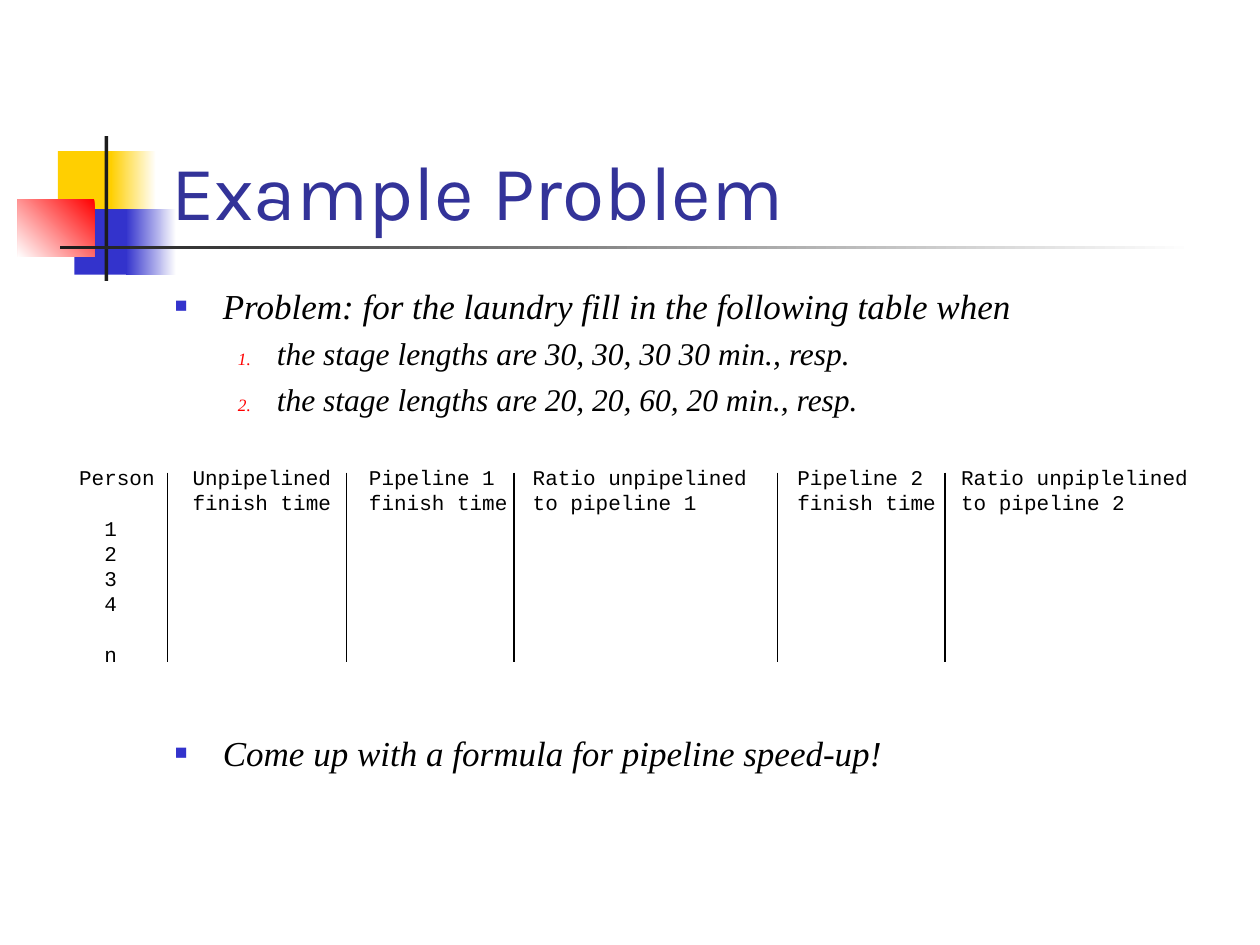
from lxml.etree import SubElement
from pptx import Presentation
from pptx.dml.color import RGBColor
from pptx.enum.shapes import MSO_CONNECTOR, MSO_SHAPE
from pptx.enum.text import MSO_ANCHOR
from pptx.oxml.ns import qn
from pptx.util import Inches, Pt


def color(value):
    return RGBColor.from_string(value)


def write(paragraph, text, font_format, hue):
    run = paragraph.add_run()
    run.text = text
    for name, value in font_format.items():
        setattr(run.font, name, value)
    run.font.color.rgb = color(hue)


deck = Presentation()
deck.slide_width, deck.slide_height = Inches(10), Inches(7.5)
slide = deck.slides.add_slide(deck.slide_layouts[6])

ornaments = [
    ((0.46, 1.2, 0.48, 0.52), ["FFCF01"], 0),
    ((0.88, 1.2, 0.36, 0.52), ["FFFFFF", "FFCF01"], 180),
    ((0.59, 1.66, 0.46, 0.52), ["3333CC"], 0),
    ((1, 1.66, 0.4, 0.52), ["FFFFFF", "3333CC"], 180),
    ((0.14, 1.58, 0.61, 0.46), ["FF0000", "FFFFFF"], 225),
    ((0.83, 1.08, 0.03, 1.15), ["1C1C1C"], 0),
    ((0.48, 1.95, 9, 0.03), ["FFFFFF", "1C1C1C"], 180),
]
for place, hues, angle in ornaments:
    ornament = slide.shapes.add_shape(MSO_SHAPE.RECTANGLE, *map(Inches, place))
    ornament.shadow.inherit = False
    ornament.line.fill.background()
    if len(hues) == 1:
        ornament.fill.solid()
        ornament.fill.fore_color.rgb = color(hues[0])
    else:
        ornament.fill.gradient()
        ornament.fill.gradient_angle = angle
        for stop, hue in zip(ornament.fill.gradient_stops, hues):
            stop.color.rgb = color(hue)

title = slide.shapes.add_textbox(Inches(1.26), Inches(0.67), Inches(8.52), Inches(1.25)).text_frame
title.word_wrap = True
title.vertical_anchor = MSO_ANCHOR.BOTTOM
write(title.paragraphs[0], "Example Problem", {"name": "Karla", "size": Pt(44)}, "333399")

levels = {
    "task": {"size": 20, "left": 0.38, "hanging": -0.38, "hue": "3333CC", "scale": "60000",
             "marks": [("a:buFont", {"typeface": "Arial"}), ("a:buChar", {"char": "■"})]},
    "case": {"size": 18, "left": 0.81, "hanging": -0.31, "hue": "FF0000", "scale": "55000",
             "marks": [("a:buAutoNum", {"type": "arabicPeriod"})]},
}
statements = [
    ("task", "Problem: for the laundry fill in the following table when", 5),
    ("case", "the stage lengths are 30, 30, 30 30 min., resp.", 4.5),
    ("case", "the stage lengths are 20, 20, 60, 20 min., resp.", 4.5),
    ("task", "Come up with a formula for pipeline speed-up!", 179),
]
problem = slide.shapes.add_textbox(Inches(1.29), Inches(2.21), Inches(8.5), Inches(4.5)).text_frame
problem.word_wrap = True
for index, (level, text, gap) in enumerate(statements):
    statement = problem.add_paragraph() if index else problem.paragraphs[0]
    style = levels[level]
    statement.level = 1 if level == "case" else 0
    statement.space_before = Pt(gap)
    properties = statement._p.get_or_add_pPr()
    properties.set("marL", str(Inches(style["left"])))
    properties.set("indent", str(Inches(style["hanging"])))
    SubElement(SubElement(properties, qn("a:buClr")), qn("a:srgbClr"), val=style["hue"])
    SubElement(properties, qn("a:buSzPct"), val=style["scale"])
    for tag, attributes in style["marks"]:
        SubElement(properties, qn(tag), attributes)
    write(statement, text,
          {"name": "Times New Roman", "size": Pt(style["size"]), "italic": True}, "000000")

headings = [
    "Person\tUnpipelined\tPipeline 1\tRatio unpipelined\tPipeline 2\tRatio unpiplelined",
    "\tfinish time\tfinish time\tto pipeline 1\tfinish time\tto pipeline 2",
]
people = ["1", "2", "3", "4", "n"]
schedule = slide.shapes.add_textbox(Inches(0.53), Inches(3.64), Inches(9), Inches(1.7)).text_frame
schedule.word_wrap = False
for index, text in enumerate(headings + people):
    row = schedule.add_paragraph() if index else schedule.paragraphs[0]
    properties = row._p.get_or_add_pPr()
    if text in people:
        properties.set("marL", str(Inches(0.2)))
        row.space_before = Pt(14.4 if text == "n" else 0)
    else:
        tabs = SubElement(properties, qn("a:tabLst"))
        for column in (0.9, 2.3, 3.6, 5.7, 7):
            SubElement(tabs, qn("a:tab"), pos=str(Inches(column)), algn="l")
    write(row, text, {"name": "Courier New", "size": Pt(12)}, "000000")

for x in (1.33, 2.75, 4.08, 6.17, 7.5):
    divider = slide.shapes.add_connector(
        MSO_CONNECTOR.STRAIGHT, Inches(x), Inches(3.75), Inches(x), Inches(5.25))
    divider.line.color.rgb = color("000000")
    divider.line.width = Pt(0.75)
    SubElement(divider._element.spPr, qn("a:effectLst"))

deck.save("out.pptx")
